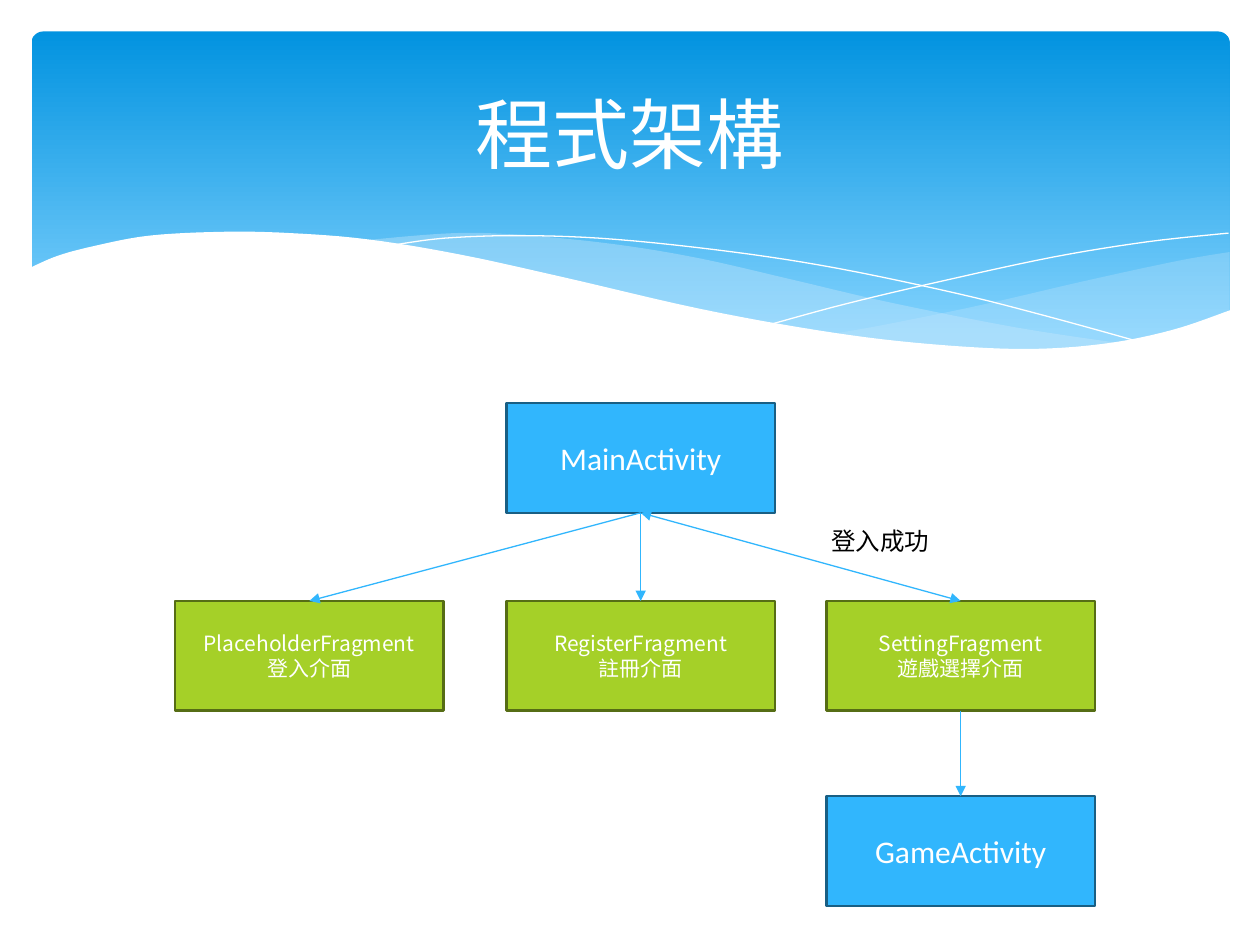
from pptx import Presentation
from pptx.dml.color import RGBColor
from pptx.enum.shapes import MSO_CONNECTOR, MSO_SHAPE
from pptx.enum.text import MSO_ANCHOR, PP_ALIGN
from pptx.oxml.ns import qn
from pptx.util import Inches, Pt
from lxml import etree

LEFT, CENTER = PP_ALIGN.LEFT, PP_ALIGN.CENTER
MIDDLE = MSO_ANCHOR.MIDDLE
RECT, ROUND = MSO_SHAPE.RECTANGLE, MSO_SHAPE.ROUNDED_RECTANGLE
STRAIGHT = MSO_CONNECTOR.STRAIGHT
BOTTOM, TOP = 2, 0

# Content
TITLE = "程式架構"
LABEL = "登入成功"
NODES = {  # name: (kind, column, row, lines)
    "main": ("activity", 1, 0, ["MainActivity"]),
    "login": ("fragment", 0, 1, ["PlaceholderFragment", "登入介面"]),
    "register": ("fragment", 1, 1, ["RegisterFragment", "註冊介面"]),
    "setting": ("fragment", 2, 1, ["SettingFragment", "遊戲選擇介面"]),
    "game": ("activity", 2, 2, ["GameActivity"]),
}
LINKS = [  # from, to, two-way
    ("main", "login", False),
    ("main", "register", False),
    ("main", "setting", True),
    ("setting", "game", False),
]

# Layout
COLS, ROWS = (1.39, 4.02, 6.56), (3.2, 4.77, 6.32)
BOX = (2.13, 0.87)

# Theme
CJK = "Noto Sans CJK SC"
THEME = {
    "sky": [(0, "0293E0"), (0.9, "83D3FE")],
    "mist": "C6E7FC",
    "white": "FFFFFF",
    "arrow": "31B6FD",
    "title": {"size": 44, "name": CJK, "color": "FFFFFF"},
    "label": {"size": 14, "name": CJK, "color": "000000"},
    "activity": {"fill": "31B6FD", "line": "195F84",
                 "font": {"size": 18, "name": "Calibri", "color": "FFFFFF"}},
    "fragment": {"fill": "A5D028", "line": "566D15",
                 "font": {"size": 12, "name": CJK, "color": "FFFFFF"}},
}

# Waves: each side is a smooth curve through its points
MIST = [  # opacity, sides
    (29, [[(9.76, 2), (9.35, 2.07), (8.61, 2.23), (7.79, 2.42), (7.06, 2.57), (6.61, 2.65)],
          [(6.61, 2.65), (7.32, 2.74), (8.14, 2.78), (8.81, 2.73), (9.35, 2.62), (9.76, 2.47)]]),
    (40, [[(8.93, 2.73), (8.07, 2.6), (7.06, 2.4), (6.29, 2.22), (5.55, 2.05),
           (4.89, 1.94), (4.2, 1.87), (3.61, 1.85), (2.86, 1.91)],
          [(2.86, 1.91), (3.62, 2.03), (4.49, 2.22), (5.3, 2.4), (6.01, 2.55),
           (6.8, 2.68), (7.61, 2.77), (8.28, 2.78), (8.93, 2.73)]]),
]
THREADS = [
    [(3.09, 1.95), (3.53, 1.89), (4.16, 1.87), (4.89, 1.9), (5.82, 2), (6.65, 2.13),
     (7.6, 2.33), (8.31, 2.51), (9.07, 2.72)],
    [(6.13, 2.57), (6.72, 2.41), (7.48, 2.23), (8.36, 2.04), (9.1, 1.92), (9.75, 1.85)],
]
SHORE = [(9.77, 2.46), (9.3, 2.62), (8.75, 2.73), (8.09, 2.77), (7.26, 2.72), (6.48, 2.62),
         (5.55, 2.45), (4.47, 2.2), (3.65, 2.02), (2.92, 1.9), (2.3, 1.85), (1.77, 1.84),
         (1.19, 1.87), (0.76, 1.95), (0.46, 2.03), (0.23, 2.13)]
FLOOR = [(0.23, 3.29), (9.77, 3.29)]


def rgb(color):
    return RGBColor.from_string(color)


def smooth(pts, steps=6):
    """Catmull-Rom curve through pts."""
    ends = [pts[0], *pts, pts[-1]]
    out = [pts[0]]
    for a, b, c, d in zip(ends, ends[1:], ends[2:], ends[3:]):
        for n in range(1, steps + 1):
            t = n / steps
            out.append(tuple(
                (2 * q + (r - p) * t + (2 * p - 5 * q + 4 * r - s) * t ** 2
                 + (3 * q - p - 3 * r + s) * t ** 3) / 2
                for p, q, r, s in zip(a, b, c, d)))
    return out


def draw(shapes, pts, close=True):
    spots = [(Inches(x), Inches(y)) for x, y in pts]
    pen = shapes.build_freeform(*spots[0])
    pen.add_line_segments(spots[1:], close=close)
    shape = pen.convert_to_shape()
    shape.shadow.inherit = False
    return shape


def paint(shape, color, alpha=100):
    shape.fill.solid()
    shape.fill.fore_color.rgb = rgb(color)
    if alpha < 100:
        tone = shape.fill._xPr.find(".//" + qn("a:srgbClr"))
        etree.SubElement(tone, qn("a:alpha"), val=str(alpha * 1000))


def write(shape, lines, style, align=CENTER):
    frame = shape.text_frame
    frame.word_wrap = True
    frame.vertical_anchor = MIDDLE
    for n, line in enumerate(lines):
        para = frame.paragraphs[0] if n == 0 else frame.add_paragraph()
        para.alignment = align
        run = para.add_run()
        run.text = line
        for key, val in {"size": Pt(style["size"]), "name": style["name"]}.items():
            setattr(run.font, key, val)
        run.font.color.rgb = rgb(style["color"])
        etree.SubElement(run.font._element, qn("a:ea"), typeface=style["name"])


def link(shapes, start, end, both):
    arrow = shapes.add_connector(STRAIGHT, 0, 0, 0, 0)
    arrow.begin_connect(start, BOTTOM)
    arrow.end_connect(end, TOP)
    arrow.line.color.rgb = rgb(THEME["arrow"])
    arrow.line.width = Pt(0.75)
    line = arrow.line._get_or_add_ln()
    for tag in ["a:headEnd", "a:tailEnd"] if both else ["a:tailEnd"]:
        etree.SubElement(line, qn(tag), type="triangle")
    etree.SubElement(arrow._element.spPr, qn("a:effectLst"))


def text(shapes, place, line, style, align):
    box = shapes.add_textbox(*map(Inches, place))
    write(box, [line], style, align)


def main():
    deck = Presentation()
    deck.slide_width, deck.slide_height = Inches(10), Inches(7.5)
    shapes = deck.slides.add_slide(deck.slide_layouts[6]).shapes

    # Sky banner
    sky = shapes.add_shape(ROUND, *map(Inches, (0.25, 0.25, 9.51, 2.7)))
    sky.adjustments[0] = 0.034
    sky.shadow.inherit = False
    sky.line.fill.background()
    sky.fill.gradient()
    sky.fill.gradient_angle = 270
    for stop, (pos, color) in zip(sky.fill.gradient_stops, THEME["sky"]):
        stop.position = pos
        stop.color.rgb = rgb(color)

    # Waves
    for alpha, sides in MIST:
        wave = draw(shapes, [pt for side in sides for pt in smooth(side)])
        paint(wave, THEME["mist"], alpha)
        wave.line.fill.background()
    for pts in THREADS:
        wave = draw(shapes, smooth(pts), close=False)
        wave.fill.background()
        wave.line.color.rgb = rgb(THEME["white"])
        wave.line.width = Pt(0)
    shore = draw(shapes, smooth(SHORE) + FLOOR)
    paint(shore, THEME["white"])
    shore.line.fill.background()

    text(shapes, (0.5, 0.37, 9, 1.37), TITLE, THEME["title"], CENTER)

    # Boxes
    boxes = {}
    for name, (kind, col, row, lines) in NODES.items():
        look = THEME[kind]
        box = shapes.add_shape(RECT, *map(Inches, (COLS[col], ROWS[row], *BOX)))
        box.shadow.inherit = False
        paint(box, look["fill"])
        box.line.color.rgb = rgb(look["line"])
        box.line.width = Pt(1.25)
        write(box, lines, look["font"])
        boxes[name] = box

    # Arrows and their label
    for start, end, both in LINKS:
        link(shapes, boxes[start], boxes[end], both)
    text(shapes, (6.5, 4.06, 1.1, 0.47), LABEL, THEME["label"], LEFT)

    deck.save("out.pptx")


if __name__ == "__main__":
    main()
